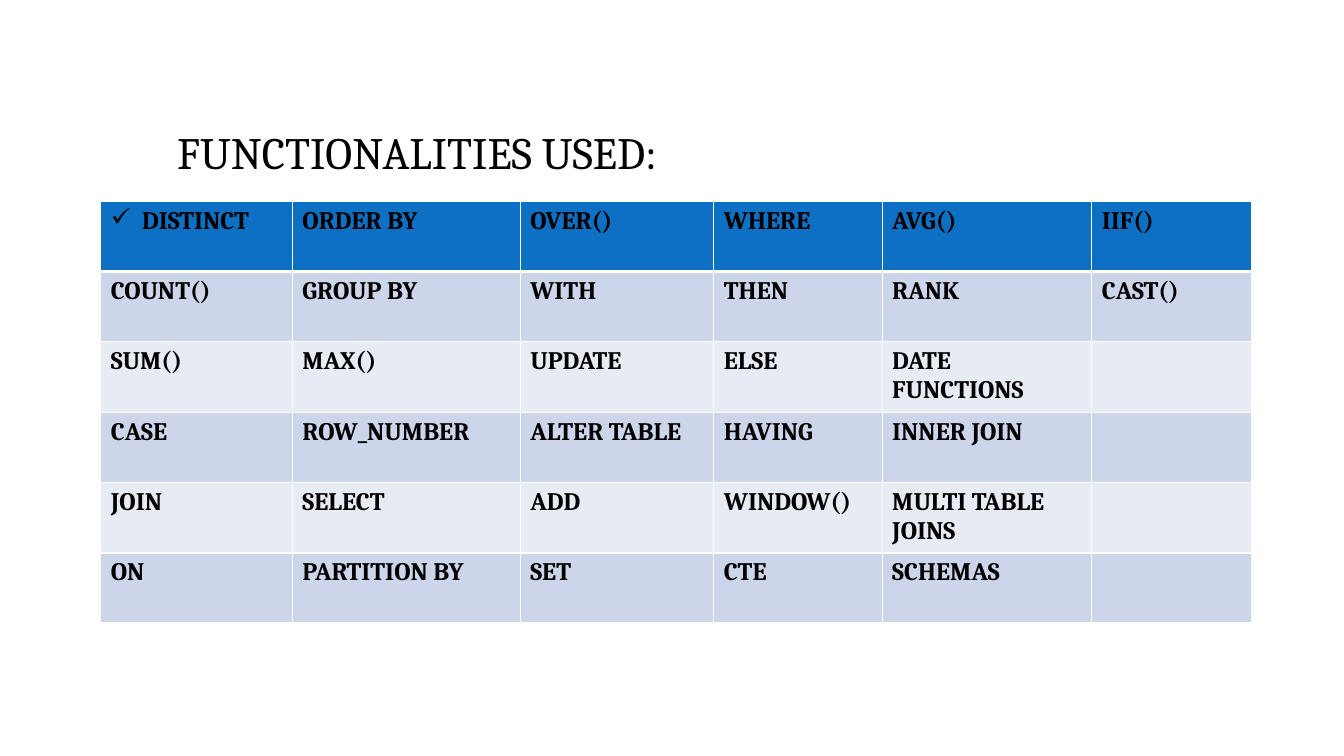
from lxml.etree import SubElement
from pptx import Presentation
from pptx.dml.color import RGBColor
from pptx.enum.text import MSO_ANCHOR
from pptx.oxml.ns import qn
from pptx.util import Inches, Pt

COLORS = {
    "text": "000000",
    "border": "FFFFFF",
    "header": "0E70C2",
    "odd_row": "CCD5E9",
    "even_row": "E7EBF4",
}
FONT = "Cambria"
COLUMN_WIDTHS = [1.9, 2.26, 1.92, 1.67, 2.08, 1.58]
TABLE_HEIGHT = 4.17
KEYWORDS = [
    ["DISTINCT", "ORDER BY", "OVER()", "WHERE", "AVG()", "IIF()"],
    ["COUNT()", "GROUP BY", "WITH", "THEN", "RANK", "CAST()"],
    ["SUM()", "MAX()", "UPDATE", "ELSE", "DATE FUNCTIONS", ""],
    ["CASE", "ROW_NUMBER", "ALTER TABLE", "HAVING", "INNER JOIN", ""],
    ["JOIN", "SELECT", "ADD", "WINDOW()", "MULTI TABLE JOINS", ""],
    ["ON", "PARTITION BY", "SET", "CTE", "SCHEMAS", ""],
]


def add_run(para, text, size, bold=False):
    run = para.add_run()
    run.text = text
    run.font.name = FONT
    run.font.size = Pt(size)
    run.font.bold = bold
    run.font.color.rgb = RGBColor.from_string(COLORS["text"])


def add_border(cell, side, width):
    """Draw one side of a cell; side is L, R, T or B, width is in points."""
    line = SubElement(cell._tc.get_or_add_tcPr(), qn(f"a:ln{side}"), w=str(Pt(width)))
    fill = SubElement(line, qn("a:solidFill"))
    SubElement(fill, qn("a:srgbClr"), val=COLORS["border"])


deck = Presentation()
deck.slide_width = Inches(13.33)
deck.slide_height = Inches(7.5)
page = deck.slides.add_slide(deck.slide_layouts[6])

# Title
title_box = page.shapes.add_textbox(Inches(1.66), Inches(0.58), Inches(10.5), Inches(1.25))
title_frame = title_box.text_frame
title_frame.word_wrap = True
title_frame.vertical_anchor = MSO_ANCHOR.BOTTOM
title_para = title_frame.paragraphs[0]
title_para.line_spacing = 0.9
add_run(title_para, "FUNCTIONALITIES USED:", 32)

# Keyword table
table = page.shapes.add_table(
    len(KEYWORDS), len(COLUMN_WIDTHS),
    Inches(1), Inches(2), Inches(sum(COLUMN_WIDTHS)), Inches(TABLE_HEIGHT),
).table
for column, width in zip(table.columns, COLUMN_WIDTHS):
    column.width = Inches(width)

for row_index, keywords in enumerate(KEYWORDS):
    if row_index == 0:
        row_color = COLORS["header"]
    else:
        row_color = COLORS["odd_row" if row_index % 2 else "even_row"]
    border_widths = {
        "L": 1,
        "R": 1,
        "T": 3 if row_index == 1 else 1,
        "B": 3 if row_index == 0 else 1,
    }
    for column_index, keyword in enumerate(keywords):
        cell = table.cell(row_index, column_index)
        for side, width in border_widths.items():
            add_border(cell, side, width)
        cell.fill.solid()
        cell.fill.fore_color.rgb = RGBColor.from_string(row_color)
        if keyword:
            add_run(cell.text_frame.paragraphs[0], keyword, 18, bold=True)

# Check mark bullet on the first keyword
bullet_props = table.cell(0, 0).text_frame.paragraphs[0]._p.get_or_add_pPr()
bullet_props.set("marL", str(Inches(0.31)))
bullet_props.set("indent", str(Inches(-0.31)))
SubElement(bullet_props, qn("a:buChar"), char="✓")

deck.save("out.pptx")
